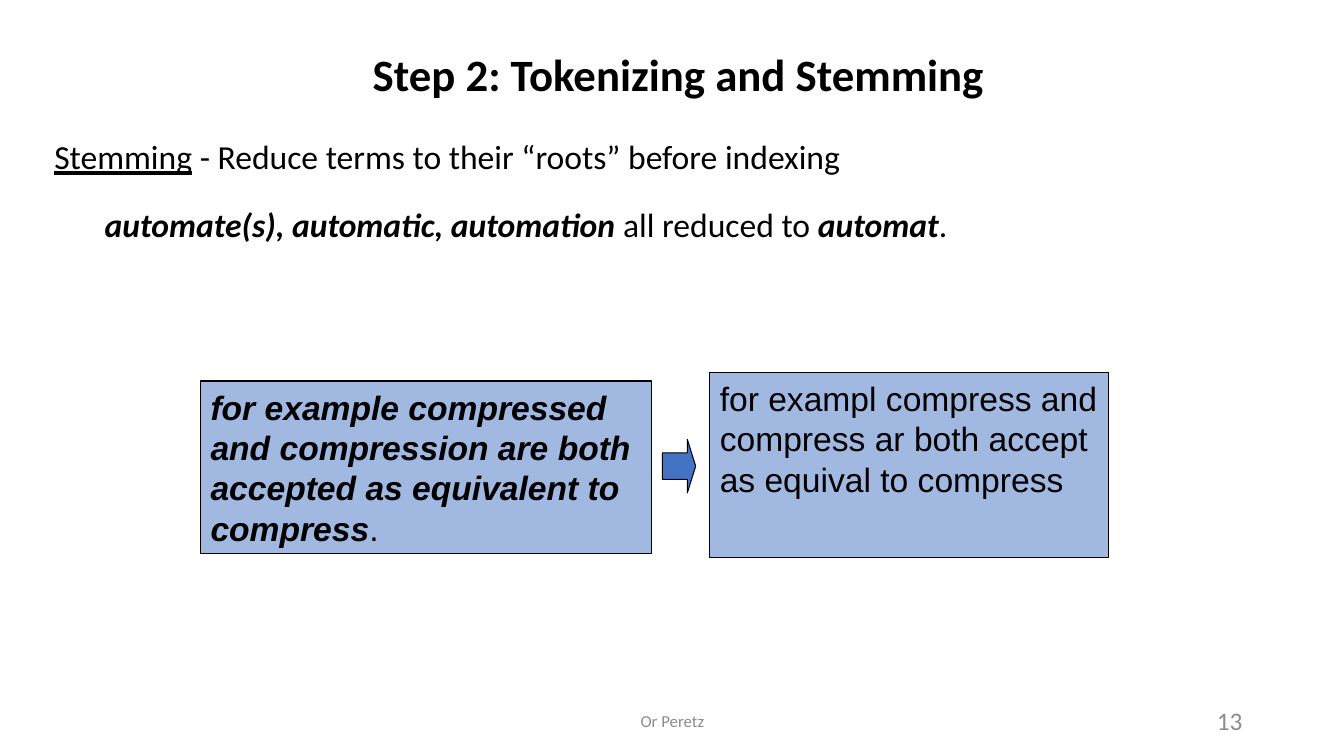
from dataclasses import dataclass

from lxml.etree import SubElement
from pptx import Presentation
from pptx.dml.color import RGBColor
from pptx.enum.shapes import MSO_SHAPE as Preset
from pptx.enum.text import MSO_ANCHOR as Anchor, MSO_AUTO_SIZE as AutoSize, PP_ALIGN as Align
from pptx.oxml.ns import qn
from pptx.shapes.autoshape import Shape
from pptx.util import Inches, Pt

BLACK, GREY, BLUE = "000000", "8C8C8C", "4472C4"


@dataclass(frozen=True)
class Run:
    text: str
    bold: bool = False
    italic: bool = False
    underline: bool = False


@dataclass(frozen=True)
class Area:
    left: float
    top: float
    width: float
    height: float

    def lengths(self) -> list[Inches]:
        return [Inches(side) for side in (self.left, self.top, self.width, self.height)]


@dataclass(frozen=True)
class Example:
    area: Area
    lines: list[list[Run]]
    anchor: Anchor
    auto_size: AutoSize


@dataclass(frozen=True)
class FooterItem:
    area: Area
    text: str
    size: int
    align: Align


EXAMPLES = [
    Example(
        Area(1.99, 3.78, 4.47, 1.71),
        [
            [Run("for example compressed", bold=True, italic=True)],
            [Run("and compression are both", bold=True, italic=True)],
            [Run("accepted as equivalent to", bold=True, italic=True)],
            [Run("compress", bold=True, italic=True), Run(".")],
        ],
        Anchor.MIDDLE,
        AutoSize.SHAPE_TO_FIT_TEXT,
    ),
    Example(
        Area(7.04, 3.7, 3.95, 1.83),
        [
            [Run("for exampl compress and")],
            [Run("compress ar both accept")],
            [Run("as equival to compress")],
        ],
        Anchor.TOP,
        AutoSize.NONE,
    ),
]

DEFINITION = [
    [Run("Stemming", underline=True), Run(" - Reduce terms to their “roots” before indexing")],
    [
        Run("automate(s), automatic, automation", bold=True, italic=True),
        Run(" all reduced to "),
        Run("automat", bold=True, italic=True),
        Run("."),
    ],
]

FOOTER = [
    FooterItem(Area(9.42, 6.95, 3, 0.4), "13", 18, Align.RIGHT),
    FooterItem(Area(4.42, 6.95, 4.5, 0.4), "Or Peretz", 12, Align.CENTER),
]


def color(hex_code: str) -> RGBColor:
    return RGBColor.from_string(hex_code)


def write(shape: Shape, lines: list[list[Run]], font: str, size: int,
          hex_code: str = BLACK, align: Align = Align.LEFT) -> None:
    """Fill the shape with one paragraph per line of runs."""
    frame = shape.text_frame
    frame.text = "\n".join("" for _ in lines)
    for paragraph, line in zip(frame.paragraphs, lines):
        paragraph.alignment = align
        for part in line:
            run = paragraph.add_run()
            run.text = part.text
            run.font.name, run.font.size = font, Pt(size)
            run.font.color.rgb = color(hex_code)
            run.font.bold, run.font.italic = part.bold, part.italic
            run.font.underline = part.underline


def add_outlined(shapes, preset: Preset, area: Area) -> Shape:
    shape = shapes.add_shape(preset, *area.lengths())
    shape.shadow.inherit = False
    shape.fill.solid()
    shape.fill.fore_color.rgb = color(BLUE)
    shape.line.color.rgb = color(BLACK)
    shape.line.width = Pt(0.75)
    return shape


def add_example(shapes, example: Example) -> None:
    box = add_outlined(shapes, Preset.RECTANGLE, example.area)
    fill_color = box.fill._xPr.find(qn("a:solidFill"))[0]
    SubElement(fill_color, qn("a:alpha"), val="50000")
    write(box, example.lines, "Arial", 24)
    frame = box.text_frame
    frame.word_wrap = False
    frame.vertical_anchor = example.anchor
    frame.auto_size = example.auto_size


def add_heading(slide) -> None:
    title = slide.shapes.title
    title.left, title.top, title.width, title.height = Area(0.38, 0.15, 12.7, 0.91).lengths()
    write(title, [[Run("Step 2: Tokenizing and Stemming", bold=True)]], "Calibri", 32,
          align=Align.CENTER)
    title.text_frame.auto_size = AutoSize.NONE
    title.text_frame.vertical_anchor = Anchor.TOP
    title.text_frame.paragraphs[0].line_spacing = 1.5


def add_definition(slide) -> None:
    definition = slide.shapes.add_textbox(*Area(0.44, 1.1, 12.7, 1.5).lengths())
    definition.text_frame.word_wrap = True
    write(definition, DEFINITION, "Calibri", 24)
    for paragraph in definition.text_frame.paragraphs:
        paragraph.line_spacing = 1.5
    terms = definition.text_frame.paragraphs[1]
    terms.level = 1
    terms.space_before = Pt(5)
    terms._p.get_or_add_pPr().set("marL", str(Inches(0.5)))


def add_footer_item(slide, item: FooterItem) -> None:
    box = slide.shapes.add_textbox(*item.area.lengths())
    box.text_frame.word_wrap = True
    box.text_frame.vertical_anchor = Anchor.MIDDLE
    write(box, [[Run(item.text)]], "Calibri", item.size, GREY, item.align)


def main() -> None:
    deck = Presentation()
    deck.slide_width, deck.slide_height = Inches(13.33), Inches(7.5)
    slide = deck.slides.add_slide(deck.slide_layouts[5])

    add_heading(slide)
    add_definition(slide)
    for item in FOOTER:
        add_footer_item(slide, item)

    stemming = slide.shapes.add_group_shape().shapes
    for example in EXAMPLES:
        add_example(stemming, example)
    arrow = add_outlined(stemming, Preset.RIGHT_ARROW, Area(6.57, 4.36, 0.33, 0.53))
    arrow.adjustments[0], arrow.adjustments[1] = 0.5, 0.25

    deck.save("out.pptx")


if __name__ == "__main__":
    main()
